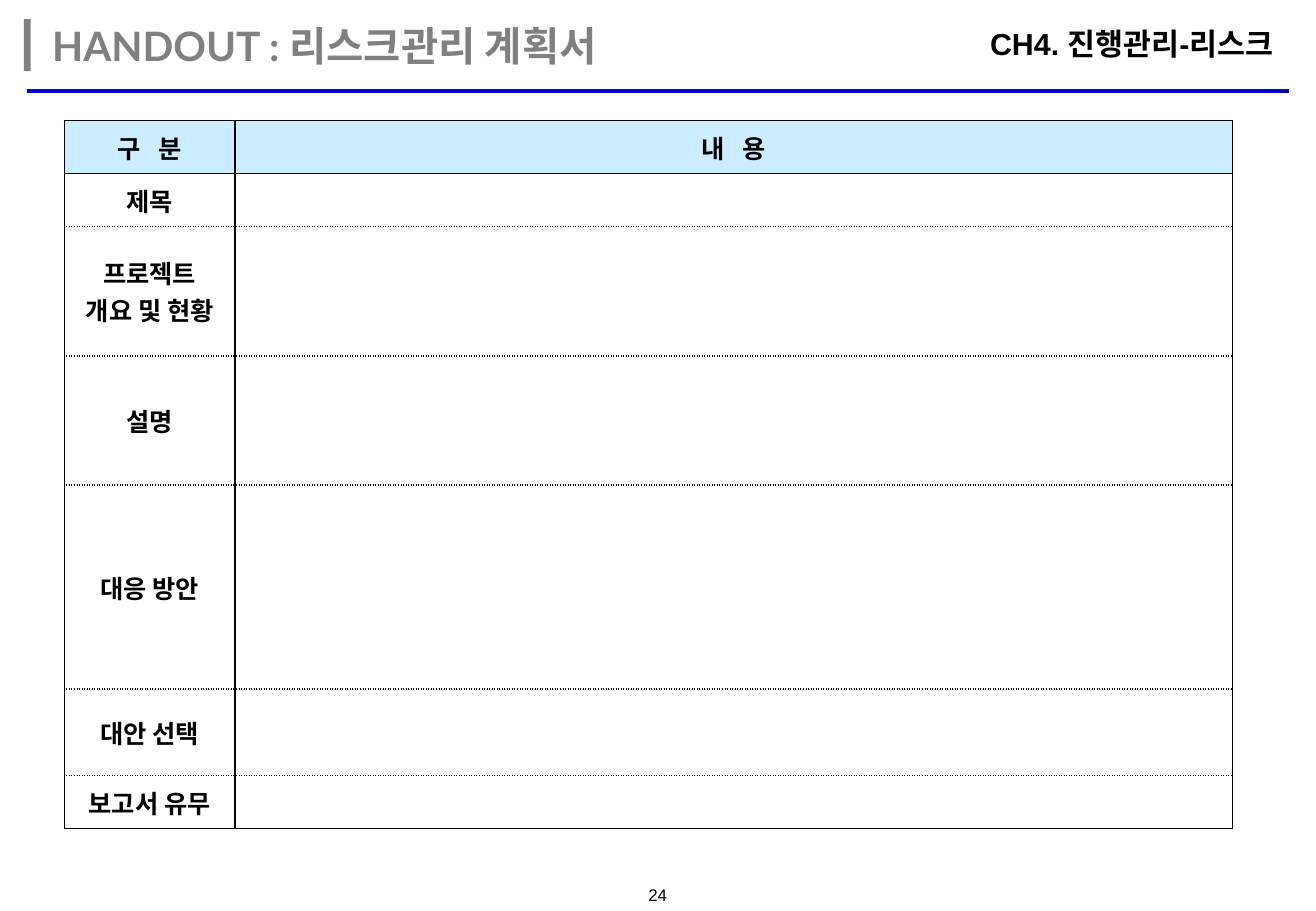
import pptx
import pptx.util
import pptx.dml.color
import pptx.enum.shapes
import pptx.enum.text
import pptx.oxml.ns
import lxml.etree

Cm, Pt = pptx.util.Cm, pptx.util.Pt
ALIGN, MIDDLE = pptx.enum.text.PP_ALIGN, pptx.enum.text.MSO_ANCHOR.MIDDLE

# Content
TITLE = "HANDOUT : 리스크관리 계획서"
CHAPTER = "CH4. 진행관리-리스크"
PAGE = "24"
HEADS = ["구 분", "내 용"]
ROWS = [  # label, height in cm
    ("제목", 1.11),
    ("프로젝트\n개요 및 현황", 2.7),
    ("설명", 2.7),
    ("대응 방안", 4.27),
    ("대안 선택", 1.81),
    ("보고서 유무", 1.11),
]
COLS = [3.56, 20.85]
HEAD = 1.11
KOREAN = "Noto Sans CJK KR"
BLACK, GREY, BLUE, PALE, WHITE = "000000", "808080", "0000CC", "CCECFF", "FFFFFF"


def color(code):
    return pptx.dml.color.RGBColor.from_string(code)


def node(parent, tag, **attrs):
    return lxml.etree.SubElement(parent, pptx.oxml.ns.qn(tag), attrs)


def say(frame, text, size=15, font=KOREAN, ink=BLACK, bold=True,
        align=ALIGN.CENTER, gap=0):
    for i, line in enumerate(text.split("\n")):
        para = frame.add_paragraph() if i else frame.paragraphs[0]
        para.alignment = align
        run = para.add_run()
        run.text = line
        run.font.size, run.font.bold = Pt(size), bold
        run.font.color.rgb = color(ink)
        run.font.name = font
        props = run.font._element
        node(props, "a:ea", typeface=KOREAN)
        if gap:
            props.set("spc", str(int(gap * 100)))


def box(slide, text, left, top, width, height, **style):
    frame = slide.shapes.add_textbox(Cm(left), Cm(top), Cm(width), Cm(height)).text_frame
    frame.word_wrap = True
    frame.vertical_anchor = MIDDLE
    say(frame, text, **style)


def edge(cell, top, bottom):
    props = cell._tc.get_or_add_tcPr()
    for side, dash in (("L", "solid"), ("R", "solid"), ("T", top), ("B", bottom)):
        line = node(props, "a:ln" + side, w=str(Pt(1)))
        node(node(line, "a:solidFill"), "a:srgbClr", val=BLACK)
        node(line, "a:prstDash", val=dash)


def header(slide):
    # Grey bar and blue rule
    bar = slide.shapes.add_shape(pptx.enum.shapes.MSO_SHAPE.RECTANGLE,
                                 Cm(0.5), Cm(0.4), Cm(0.14), Cm(1.09))
    bar.shadow.inherit = False
    bar.fill.solid()
    bar.fill.fore_color.rgb = color(GREY)
    bar.line.fill.background()
    rule = slide.shapes.add_connector(pptx.enum.shapes.MSO_CONNECTOR.STRAIGHT,
                                      Cm(0.56), Cm(1.9), Cm(26.95), Cm(1.9))
    rule.line.color.rgb = color(BLUE)
    rule.line.width = Pt(2.25)
    node(rule._element.spPr, "a:effectLst")
    # Title and chapter
    box(slide, TITLE, 0.84, 0.4, 18, 1.09, size=24, font="Lato", ink=GREY,
        align=ALIGN.LEFT)
    box(slide, CHAPTER, 19.15, 0.4, 7.72, 1.02, size=18, font="Arial",
        align=ALIGN.RIGHT)


def grid(slide):
    highs = [HEAD] + [high for _, high in ROWS]
    table = slide.shapes.add_table(len(highs), len(COLS), Cm(1.35), Cm(2.52),
                                   Cm(sum(COLS)), Cm(sum(highs))).table
    table.first_row = table.horz_banding = False
    for col, width in zip(table.columns, COLS):
        col.width = Cm(width)
    cells = [HEADS] + [(label, "") for label, _ in ROWS]
    last = len(ROWS)
    for r, (high, texts) in enumerate(zip(highs, cells)):
        table.rows[r].height = Cm(high)
        for c, text in enumerate(texts):
            cell = table.cell(r, c)
            cell.vertical_anchor = MIDDLE
            edge(cell, "solid" if r < 2 else "sysDot",
                 "solid" if r in (0, last) else "sysDot")
            cell.fill.solid()
            cell.fill.fore_color.rgb = color(WHITE if r else PALE)
            if text:
                say(cell.text_frame, text, gap=0 if r else 3.4)
            else:
                cell.margin_top = cell.margin_bottom = 0


def main():
    deck = pptx.Presentation()
    deck.slide_width, deck.slide_height = Cm(27.51), Cm(19.05)
    slide = deck.slides.add_slide(deck.slide_layouts[6])
    header(slide)
    grid(slide)
    box(slide, PAGE, 13.23, 18.36, 1.04, 0.69, size=10, font="Arial", bold=False)
    deck.save("out.pptx")


if __name__ == "__main__":
    main()
